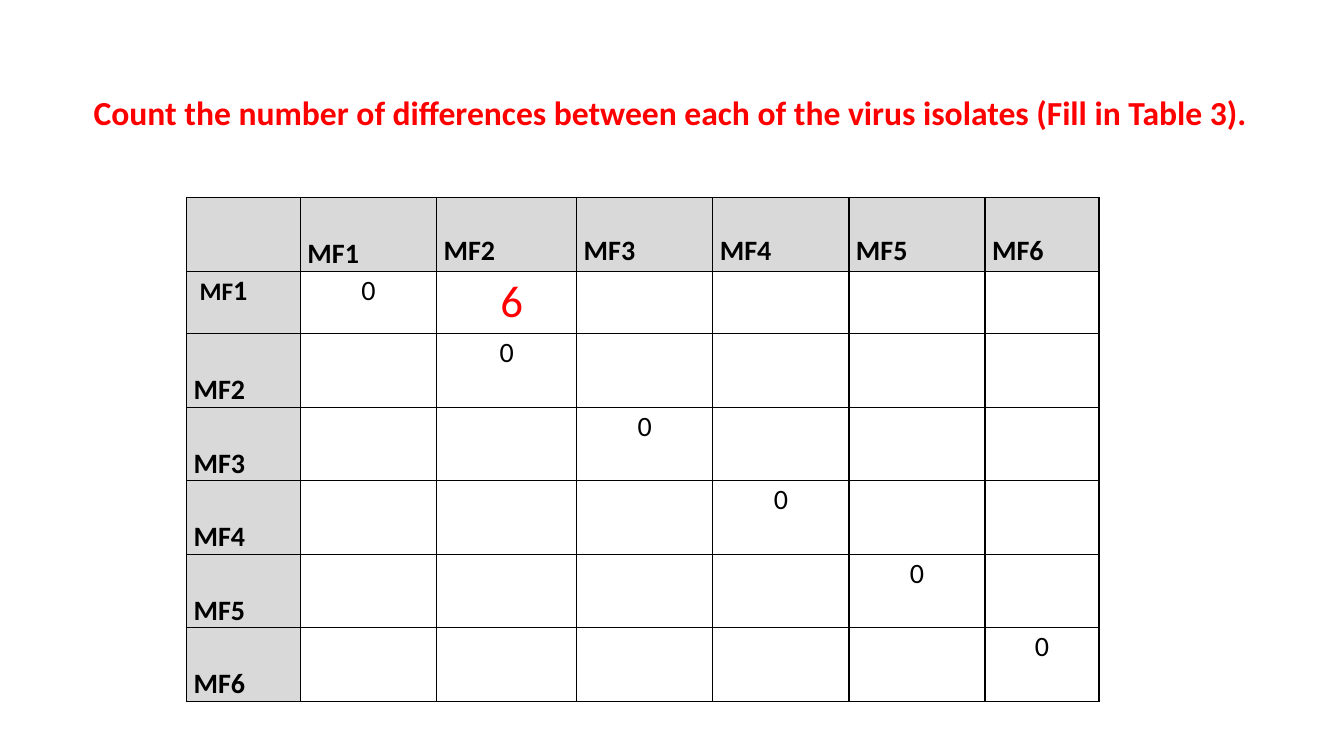
import pptx
import pptx.util
import pptx.dml.color
import pptx.enum.text
import pptx.oxml
import pptx.oxml.ns

Inches = pptx.util.Inches
Pt = pptx.util.Pt
RGBColor = pptx.dml.color.RGBColor
ALIGN = pptx.enum.text.PP_ALIGN
ANCHOR = pptx.enum.text.MSO_ANCHOR

TITLE = "Count the number of differences between each of the virus isolates (Fill in Table 3)."
ISOLATES = ["MF1", "MF2", "MF3", "MF4", "MF5", "MF6"]
DIFFERENCES = {("MF1", "MF2"): "6"}
COLUMN_WIDTHS = [1.13, 1.35, 1.39, 1.35, 1.35, 1.35, 1.13]
ROW_HEIGHTS = [0.73, 0.62] + [0.73] * 5

BLACK = RGBColor(0, 0, 0)
RED = RGBColor(255, 0, 0)
GRAY = RGBColor(0xD9, 0xD9, 0xD9)


def style_paragraph(paragraph, size, color, bold, spacing):
    paragraph.line_spacing = spacing
    font = paragraph.font
    font.name = "Calibri"
    font.size = Pt(size)
    font.bold = bold
    font.color.rgb = color


def add_borders(cell):
    properties = cell._tc.get_or_add_tcPr()
    namespace = pptx.oxml.ns.nsdecls("a")
    for position, side in enumerate(("lnL", "lnR", "lnT", "lnB")):
        properties.insert(position, pptx.oxml.parse_xml(
            f'<a:{side} {namespace} w="12700"><a:solidFill>'
            f'<a:srgbClr val="{BLACK}"/></a:solidFill></a:{side}>'))


def format_cell(cell, heading):
    cell.margin_left = cell.margin_right = Inches(0.07)
    cell.margin_top = cell.margin_bottom = 0
    if heading:
        cell.fill.solid()
        cell.fill.fore_color.rgb = GRAY
    else:
        cell.fill.background()
    add_borders(cell)


def write_label(cell, text):
    cell.text = text
    cell.vertical_anchor = ANCHOR.BOTTOM
    style_paragraph(cell.text_frame.paragraphs[0], 20, BLACK, True, 1.07)


def write_count(cell, text, size, color):
    cell.text = text
    paragraph = cell.text_frame.paragraphs[0]
    paragraph.alignment = ALIGN.CENTER
    style_paragraph(paragraph, size, color, False, 1.07)


def add_title(slide):
    box = slide.shapes.add_textbox(Inches(0.83), Inches(0.91), Inches(13.06), Inches(0.46))
    box.text_frame.word_wrap = True
    paragraph = box.text_frame.paragraphs[0]
    paragraph.text = TITLE
    style_paragraph(paragraph, 24, RED, True, 0.9)


def add_difference_table(slide):
    size = len(ISOLATES) + 1
    frame = slide.shapes.add_table(size, size, Inches(1.85), Inches(1.96),
                                   Inches(sum(COLUMN_WIDTHS)), Inches(sum(ROW_HEIGHTS)))
    table = frame.table
    table.horz_banding = False
    table.first_row = False
    for column, width in zip(table.columns, COLUMN_WIDTHS):
        column.width = Inches(width)
    for row, height in zip(table.rows, ROW_HEIGHTS):
        row.height = Inches(height)
    for row in range(size):
        for column in range(size):
            format_cell(table.cell(row, column), row == 0 or column == 0)

    for index, isolate in enumerate(ISOLATES, start=1):
        column_label = table.cell(0, index)
        write_label(column_label, isolate)
        if index > 1:
            column_label.margin_bottom = Inches(0.03)
        write_label(table.cell(index, 0), isolate)
        write_count(table.cell(index, index), "0", 20, BLACK)

    first_label = table.cell(1, 0)
    first_label.vertical_anchor = ANCHOR.TOP
    first_label.margin_left = Inches(0.13)
    paragraph = first_label.text_frame.paragraphs[0]
    paragraph.runs[0].text = "MF"
    paragraph.runs[0].font.size = Pt(18)
    paragraph.add_run().text = "1"

    for (first, second), count in DIFFERENCES.items():
        cell = table.cell(ISOLATES.index(first) + 1, ISOLATES.index(second) + 1)
        write_count(cell, count, 32, RED)
        cell.margin_left = Inches(0.17)


def main():
    presentation = pptx.Presentation()
    presentation.slide_width = Inches(13.33)
    presentation.slide_height = Inches(7.5)
    slide = presentation.slides.add_slide(presentation.slide_layouts[6])
    add_difference_table(slide)
    add_title(slide)
    presentation.save("out.pptx")


if __name__ == "__main__":
    main()
